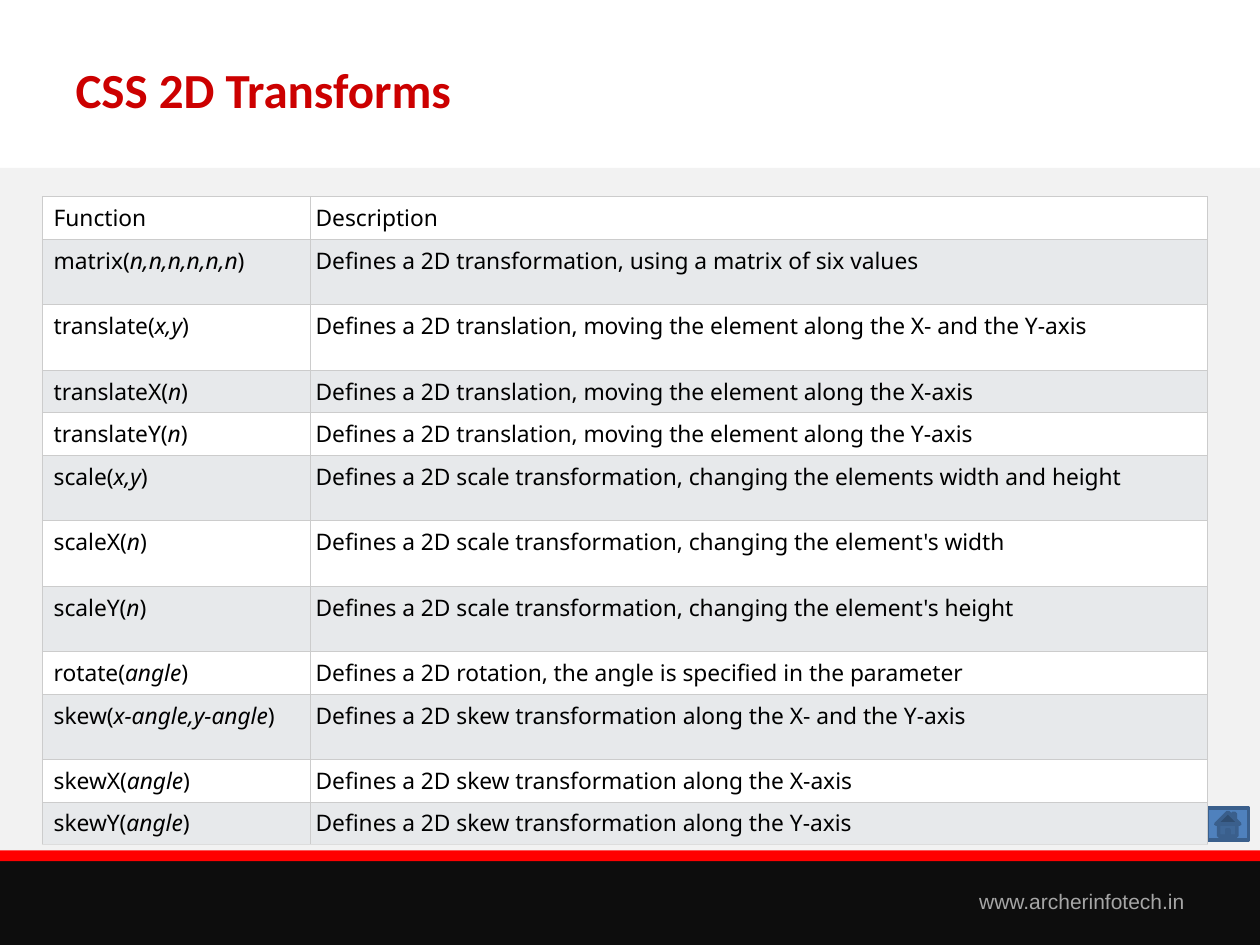
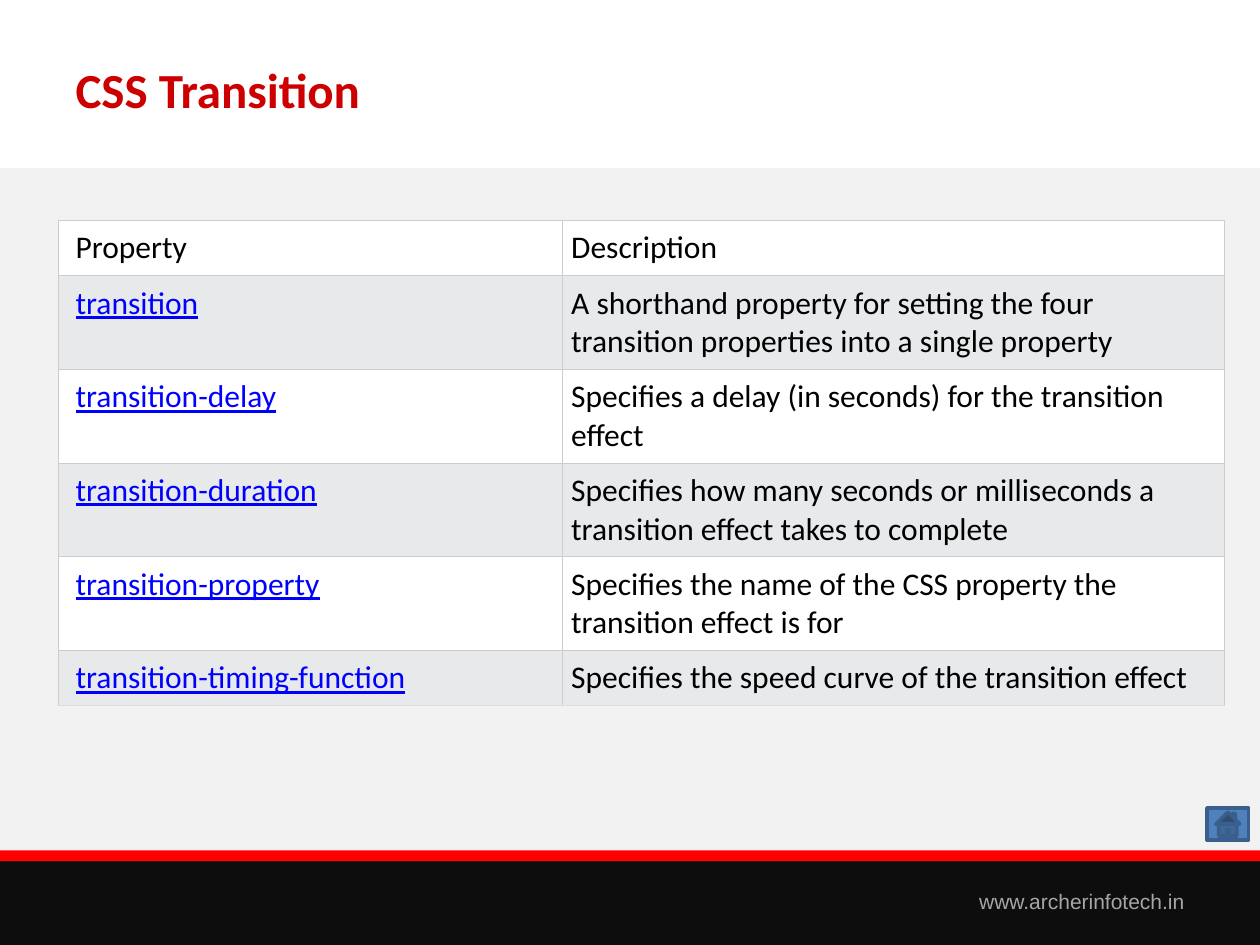
from collections import namedtuple

from lxml import etree
from pptx import Presentation
from pptx.dml.color import RGBColor
from pptx.enum.shapes import MSO_SHAPE as Shape
from pptx.enum.text import MSO_ANCHOR as Anchor, MSO_AUTO_SIZE as AutoSize, PP_ALIGN as Align
from pptx.oxml.ns import qn
from pptx.util import Inches, Pt

# Shared look
WHITE = RGBColor(0xFF, 0xFF, 0xFF)
PANEL = RGBColor(0xF2, 0xF2, 0xF2)
FOOTER = RGBColor(0x0D, 0x0D, 0x0D)
RED = RGBColor(0xFF, 0x00, 0x00)
TITLE = RGBColor(0xCC, 0x00, 0x00)
ADDRESS = RGBColor(0xA6, 0xA6, 0xA6)
BUTTON = RGBColor(0x4F, 0x81, 0xBD)
BUTTON_EDGE = RGBColor(0x3A, 0x5F, 0x8C)
STRIPE = RGBColor(0xE7, 0xE9, 0xEB)
GRID = RGBColor(0xCC, 0xCC, 0xCC)
GRID_END = RGBColor(0xDD, 0xDD, 0xDD)
BLACK = RGBColor(0x00, 0x00, 0x00)
LINK = RGBColor(0x00, 0x00, 0xFF)

# The slide is a grid of 100 columns by 75 rows
COLS, ROWS = 100, 75
UNIT = Inches(10) // COLS


class Box(namedtuple("Box", "x y w h")):
    """A region in grid columns and rows."""

    def inner(self, x, y, w, h):
        return Box(self.x + x, self.y + y, w, h)

    def emu(self):
        return [round(v * UNIT) for v in self]


PAGE = Box(0, 0, COLS, ROWS)
HEAD = Box(0, 0, COLS, 13.33)
BODY = Box(0, 13.33, COLS, ROWS - 13.33)
FOOT = Box(0, 67.5, COLS, 7.5)

TableStyle = namedtuple("TableStyle", "font size inset single double name_col")
FUNCTIONS = TableStyle("Noto Sans", Pt(13), Pt(3.3), 3.38, 5.19, 21.25)
PROPERTIES = TableStyle("Calibri", Pt(18), Pt(4.8), 4.38, 7.43, 40)

# Rows: name, italic arguments, description, height in lines
FUNCTION_ROWS = [
    ("matrix", "n,n,n,n,n,n", "Defines a 2D transformation, using a matrix of six values", 2),
    ("translate", "x,y",
     "Defines a 2D translation, moving the element along the X- and the Y-axis", 2),
    ("translateX", "n", "Defines a 2D translation, moving the element along the X-axis", 1),
    ("translateY", "n", "Defines a 2D translation, moving the element along the Y-axis", 1),
    ("scale", "x,y",
     "Defines a 2D scale transformation, changing the elements width and height", 2),
    ("scaleX", "n", "Defines a 2D scale transformation, changing the element's width", 2),
    ("scaleY", "n", "Defines a 2D scale transformation, changing the element's height", 2),
    ("rotate", "angle", "Defines a 2D rotation, the angle is specified in the parameter", 1),
    ("skew", "x-angle,y-angle",
     "Defines a 2D skew transformation along the X- and the Y-axis", 2),
    ("skewX", "angle", "Defines a 2D skew transformation along the X-axis", 1),
    ("skewY", "angle", "Defines a 2D skew transformation along the Y-axis", 1),
]
PROPERTY_ROWS = [
    ("transition",
     "A shorthand property for setting the four transition properties into a single property", 2),
    ("transition-delay", "Specifies a delay (in seconds) for the transition effect", 2),
    ("transition-duration",
     "Specifies how many seconds or milliseconds a transition effect takes to complete", 2),
    ("transition-property",
     "Specifies the name of the CSS property the transition effect is for", 2),
    ("transition-timing-function", "Specifies the speed curve of the transition effect", 1),
]


def add_block(shapes, box, color, kind=Shape.RECTANGLE):
    sp = shapes.add_shape(kind, *box.emu())
    sp.shadow.inherit = False
    sp.fill.solid()
    sp.fill.fore_color.rgb = color
    sp.line.fill.background()
    return sp


def set_font(r, name, size, color):
    r.font.name, r.font.size = name, size
    r.font.color.rgb = color


def add_backdrop(slide, master):
    """Draw the panel and footer, then move them behind the master's placeholders."""
    shapes = slide.shapes
    backdrop = [
        add_block(shapes, BODY, PANEL),
        add_block(shapes, FOOT.inner(0, 0.8, COLS, 6.7), FOOTER),
        add_block(shapes, FOOT.inner(0, 0, COLS, 0.85), RED),
    ]
    address = shapes.add_textbox(*FOOT.inner(55, 2.5, 40, 3).emu())
    tf = address.text_frame
    tf.word_wrap = True
    p = tf.paragraphs[0]
    p.text, p.alignment = "www.archerinfotech.in", Align.RIGHT
    set_font(p.runs[0], "Arial", Pt(12), ADDRESS)
    backdrop.append(address)
    for i, sp in enumerate(backdrop, 2):
        master.shapes.element.insert(i, sp.element)


def add_title(slide, box, text):
    sp = slide.shapes.title
    sp.left, sp.top, sp.width, sp.height = box.inner(5, 2.7, 65.8, 8.7).emu()
    tf = sp.text_frame
    tf.text = text
    tf.auto_size, tf.vertical_anchor = AutoSize.NONE, Anchor.MIDDLE
    p = tf.paragraphs[0]
    p.alignment = Align.LEFT
    set_font(p.runs[0], "Calibri", Pt(28), TITLE)
    p.runs[0].font.bold = True


def add_home_button(slide, box):
    sp = add_block(slide.shapes, box.inner(95.8, 50.8, 3.3, 2.55), BUTTON,
                   Shape.ACTION_BUTTON_HOME)
    sp.line.color.rgb, sp.line.width = BUTTON_EDGE, Pt(2)


def set_borders(cell, is_last):
    tcPr = cell._tc.get_or_add_tcPr()
    for i, side in enumerate("LRTB"):
        ln = etree.Element(qn("a:ln" + side), w=str(Pt(0.6)))
        fill = etree.SubElement(ln, qn("a:solidFill"))
        color = GRID_END if is_last and side == "B" else GRID
        etree.SubElement(fill, qn("a:srgbClr"), val=str(color))
        tcPr.insert(i, ln)


def fill_cell(cell, runs, style):
    """Write (text, look) runs, where look is plain, italic or link."""
    p = cell.text_frame.paragraphs[0]
    for text, look in runs:
        r = p.add_run()
        r.text = text
        set_font(r, style.font, style.size, LINK if look == "link" else BLACK)
        if look == "italic":
            r.font.italic = True
        elif look == "link":
            r.font.underline = True


def add_table(slide, box, rows, style):
    """Draw rows of (name runs, description, lines) as a striped table."""
    heights = [style.single if lines == 1 else style.double for _, _, lines in rows]
    frame = slide.shapes.add_table(len(rows), 2, *box._replace(h=sum(heights)).emu())
    table = frame.table
    table.first_row = table.horz_banding = False
    for col, width in zip(table.columns, (style.name_col, box.w - style.name_col)):
        col.width = round(width * UNIT)
    for i, (name_runs, description, _) in enumerate(rows):
        table.rows[i].height = round(heights[i] * UNIT)
        for j, runs in enumerate((name_runs, [(description, "plain")])):
            cell = table.cell(i, j)
            cell.margin_right = cell.margin_top = cell.margin_bottom = style.inset
            cell.margin_left = style.inset * (2 - j)
            cell.fill.solid()
            cell.fill.fore_color.rgb = STRIPE if i % 2 else WHITE
            set_borders(cell, i == len(rows) - 1)
            fill_cell(cell, runs, style)


def add_table_slide(prs, title, place, rows, style):
    slide = prs.slides.add_slide(prs.slide_layouts.get_by_name("Title Only"))
    add_title(slide, HEAD, title)
    add_home_button(slide, BODY)
    add_table(slide, BODY.inner(*place), rows, style)
    return slide


def main():
    prs = Presentation()
    prs.slide_width, prs.slide_height = PAGE.emu()[2:]

    # 2D transform functions
    rows = [([("Function", "plain")], "Description", 1)]
    rows += [([(name + "(", "plain"), (args, "italic"), (")", "plain")], text, lines)
             for name, args, text, lines in FUNCTION_ROWS]
    first = add_table_slide(prs, "CSS 2D Transforms", (3.35, 2.3, 92.5, 0), rows, FUNCTIONS)
    add_backdrop(first, prs.slide_master)

    # Transition properties
    rows = [([("Property", "plain")], "Description", 1)]
    rows += [([(name, "link")], text, lines) for name, text, lines in PROPERTY_ROWS]
    add_table_slide(prs, "CSS Transition", (4.67, 4.17, 92.5, 0), rows, PROPERTIES)

    prs.save("out.pptx")


if __name__ == "__main__":
    main()
